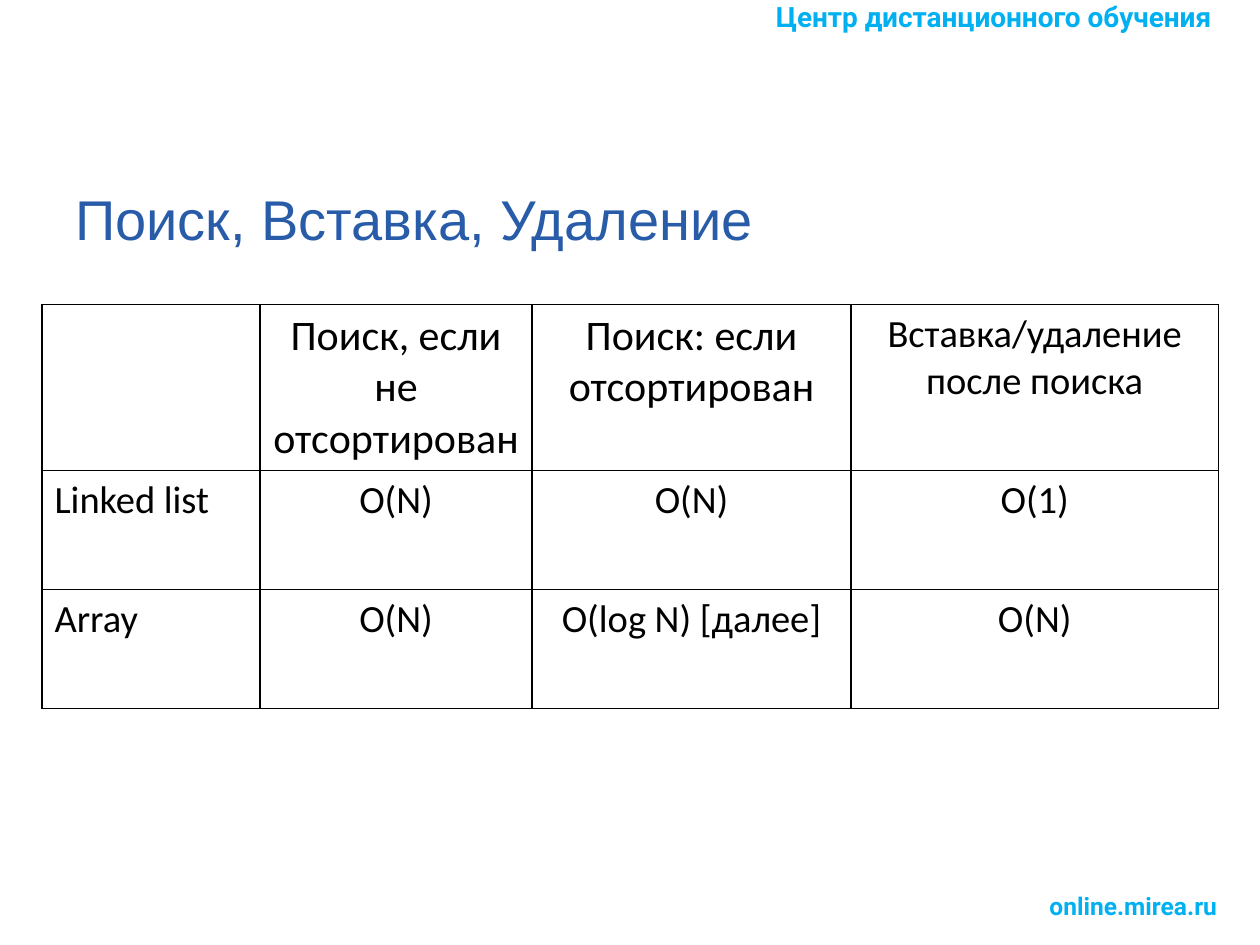
from dataclasses import dataclass

from lxml import etree
from pptx import Presentation
from pptx.dml.color import RGBColor
from pptx.enum.text import MSO_ANCHOR, PP_ALIGN
from pptx.oxml.ns import qn
from pptx.util import Pt

LEFT, CENTER = PP_ALIGN.LEFT, PP_ALIGN.CENTER
TOP, BOTTOM = MSO_ANCHOR.TOP, MSO_ANCHOR.BOTTOM
SKY, BLUE, BLACK = "00B0F0", "295CA8", "000000"


@dataclass
class Label:
    text: str
    box: tuple[float, float, float, float]
    font: dict
    anchor: MSO_ANCHOR = TOP
    inset: float = 3.6


@dataclass
class Run:
    text: str
    size: float = 22


LABELS = [
    Label("Центр дистанционного обучения", (436.3, -3.6, 283.7, 26.6),
          dict(name="Roboto", size=Pt(16), bold=True, color=SKY)),
    Label("online.mirea.ru", (592.6, 505.4, 115.9, 24.2),
          dict(name="Roboto", size=Pt(14), bold=True, color=SKY)),
    Label("Поиск, Вставка, Удаление", (36, 83.5, 648, 67.7),
          dict(name="Arial", size=Pt(32), color=BLUE), BOTTOM, 7.2),
]

# Each header cell is a list of paragraphs, each paragraph a list of runs
HEADER = [
    [],
    [[Run("Поиск, если не отсортирован", 24)]],
    [[Run("Поиск: если", 24), Run(" ", 18), Run("отсортирован", 24)]],
    [[Run("Вставка/удаление")], [Run("после поиска")]],
]
BODY = [
    ["Linked list", "O(N)", "O(N)", "O(1)"],
    ["Array", "O(N)", "O(log N) [далее]", "O(N)"],
]
COL_WIDTHS = [124.6, 155.5, 182.2, 210]
ROW_HEIGHTS = [95, 68, 68]
TABLE_AT = (24, 174)


def rgb(value: str) -> RGBColor:
    return RGBColor.from_string(value)


def format_font(font, values: dict) -> None:
    for key, value in values.items():
        if key == "color":
            font.color.rgb = rgb(value)
        else:
            setattr(font, key, value)


def add_label(s, label: Label) -> None:
    sp = s.shapes.add_textbox(*map(Pt, label.box))
    tf = sp.text_frame
    tf.word_wrap = True
    tf.vertical_anchor = label.anchor
    tf.margin_top = tf.margin_bottom = Pt(label.inset)
    p = tf.paragraphs[0]
    r = p.add_run()
    r.text = label.text
    format_font(r.font, label.font)


def add_borders(cell, width: float = 1) -> None:
    tcPr = cell._tc.get_or_add_tcPr()
    for side in ("lnL", "lnR", "lnT", "lnB"):
        ln = etree.SubElement(tcPr, qn(f"a:{side}"), w=str(Pt(width)))
        fill = etree.SubElement(ln, qn("a:solidFill"))
        etree.SubElement(fill, qn("a:srgbClr"), val=BLACK)


def fill_cell(cell, paragraphs: list[list[Run]], align: PP_ALIGN) -> None:
    add_borders(cell)
    cell.fill.background()
    tf = cell.text_frame
    for i, runs in enumerate(paragraphs):
        p = tf.add_paragraph() if i else tf.paragraphs[0]
        p.alignment = align
        for run in runs:
            r = p.add_run()
            r.text = run.text
            format_font(r.font, dict(name="Calibri", size=Pt(run.size),
                                     bold=False, color=BLACK))


def add_complexity_table(s) -> None:
    rows = [HEADER] + [[[[Run(text)]] for text in row] for row in BODY]
    size = (sum(COL_WIDTHS), sum(ROW_HEIGHTS))
    table = s.shapes.add_table(len(rows), len(COL_WIDTHS),
                               *map(Pt, TABLE_AT + size)).table
    table.first_row = table.horz_banding = False
    for col, width in zip(table.columns, COL_WIDTHS):
        col.width = Pt(width)
    for row, height in zip(table.rows, ROW_HEIGHTS):
        row.height = Pt(height)
    for i, row in enumerate(rows):
        for j, paragraphs in enumerate(row):
            fill_cell(table.cell(i, j), paragraphs, CENTER if j else LEFT)


def main() -> None:
    prs = Presentation()
    prs.slide_width, prs.slide_height = Pt(720), Pt(540)
    s = prs.slides.add_slide(prs.slide_layouts[6])

    # Header, footer and title
    for label in LABELS:
        add_label(s, label)

    # Comparison of operation costs
    add_complexity_table(s)

    prs.save("out.pptx")


if __name__ == "__main__":
    main()
